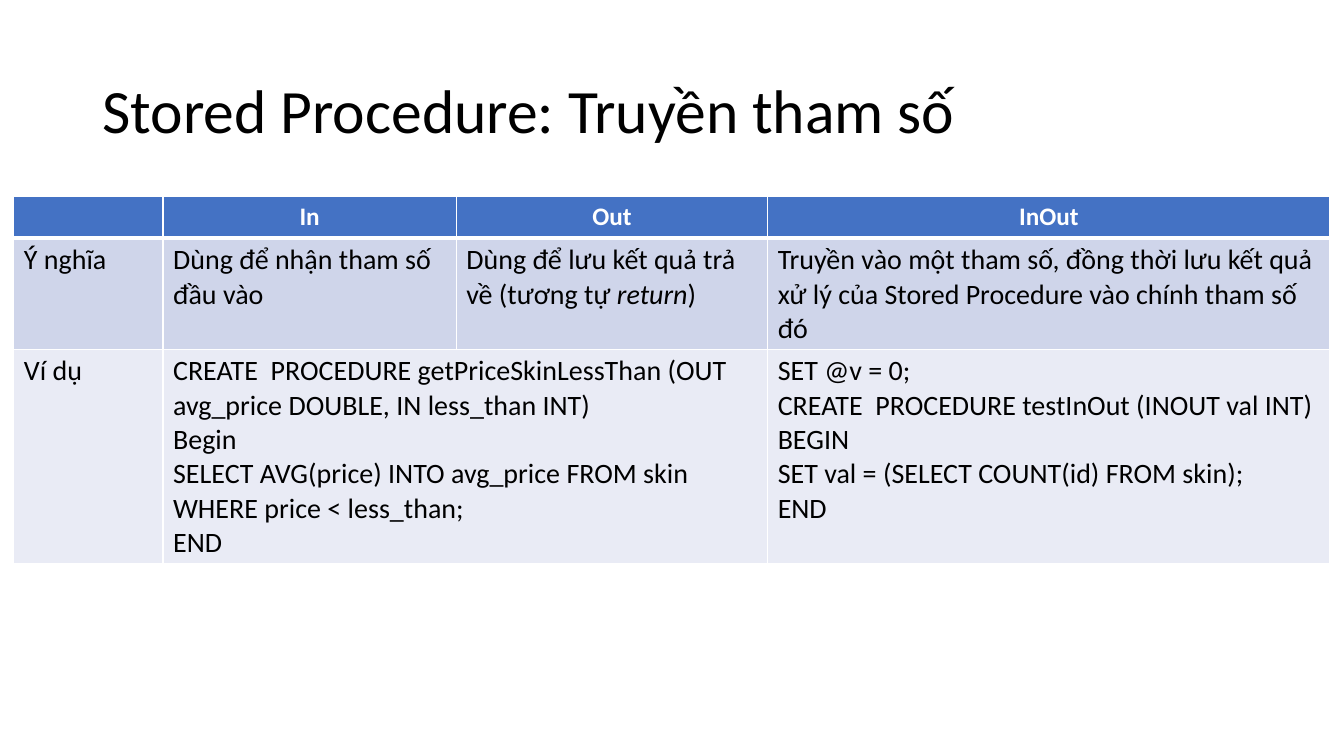
import pptx
import pptx.util
import pptx.dml.color
import pptx.enum.text
import pptx.oxml
import pptx.oxml.ns
from lxml import etree

Cm = pptx.util.Cm
Color = pptx.dml.color.RGBColor
Align = pptx.enum.text.PP_ALIGN
BLACK = Color(0, 0, 0)
WHITE = Color(0xFF, 0xFF, 0xFF)
BLUE = Color(0x44, 0x72, 0xC4)
MID = Color(0xCF, 0xD5, 0xEA)
PALE = Color(0xE9, 0xEB, 0xF5)
FONT = "Calibri"

HEAD = ["", "In", "Out", "InOut"]
SENSE = [
    "Ý nghĩa",
    "Dùng để nhận tham số đầu vào",
    [[("Dùng để lưu kết quả trả về (tương tự ", False), ("return", True), (")", False)]],
    "Truyền vào một tham số, đồng thời lưu kết quả xử lý của Stored Procedure "
    "vào chính tham số đó",
]
CODE = [
    "Ví dụ",
    "CREATE\u00a0 PROCEDURE getPriceSkinLessThan (OUT avg_price DOUBLE, IN less_than\u00a0INT) \n"
    "Begin\n"
    "SELECT\u00a0AVG(price)\u00a0INTO\u00a0avg_price\u00a0FROM skin\u00a0\n"
    "WHERE\u00a0price <\u00a0less_than;\u00a0\n"
    "END",
    "",
    "SET @v = 0;\n"
    "CREATE\u00a0 PROCEDURE testInOut (INOUT val INT)\n"
    "BEGIN\n"
    "SET val = (SELECT COUNT(id) FROM skin);\n"
    "END",
]


def write(frame, text, size, color, bold=False, align=Align.LEFT, space=1.0):
    if isinstance(text, str):
        text = [[(line, False)] for line in text.split("\n")]
    for i, line in enumerate(text):
        para = frame.add_paragraph() if i else frame.paragraphs[0]
        para.alignment = align
        para.line_spacing = space
        for words, slant in line:
            run = para.add_run()
            run.text = words
            font = run.font
            font.name = FONT
            font.size = pptx.util.Pt(size)
            font.color.rgb = color
            font.bold = bold
            font.italic = slant


def edge(cell, widths):
    props = cell._tc.get_or_add_tcPr()
    for i, (side, width) in enumerate(zip("LRTB", widths)):
        line = etree.Element(pptx.oxml.ns.qn("a:ln" + side), w=str(pptx.util.Pt(width)))
        fill = etree.SubElement(line, pptx.oxml.ns.qn("a:solidFill"))
        etree.SubElement(fill, pptx.oxml.ns.qn("a:srgbClr"), val=str(WHITE))
        props.insert(i, line)


def title(slide, box):
    frame = slide.shapes.add_textbox(*box).text_frame
    frame.word_wrap = True
    frame.vertical_anchor = pptx.enum.text.MSO_ANCHOR.MIDDLE
    write(frame, "Stored Procedure: Truyền tham số ", 44, BLACK, space=0.9)


def grid(slide, box):
    left, top, width, height = box
    table = slide.shapes.add_table(3, 4, left, top, width, height).table
    parts = [1.48, 2.91, 3.09, 5.58]
    for col, part in zip(table.columns, parts):
        col.width = int(width * part / sum(parts))
    for row, tall in zip(table.rows, [1.04, 2.8, 5.4]):
        row.height = Cm(tall)
    looks = [
        (HEAD, BLUE, 18, WHITE, True, Align.CENTER, (1, 1, 1, 3)),
        (SENSE, MID, 20, BLACK, False, Align.LEFT, (1, 1, 3, 1)),
        (CODE, PALE, 20, BLACK, False, Align.LEFT, (1, 1, 1, 1)),
    ]
    for r, (texts, fill, size, color, bold, align, lines) in enumerate(looks):
        for c, text in enumerate(texts):
            cell = table.cell(r, c)
            cell.fill.solid()
            cell.fill.fore_color.rgb = fill
            edge(cell, lines)
            if text:
                write(cell.text_frame, text, size, color, bold, align)
    table.cell(2, 1).merge(table.cell(2, 2))


deck = pptx.Presentation()
deck.slide_width = Cm(33.87)
deck.slide_height = Cm(19.05)
slide = deck.slides.add_slide(deck.slide_layouts[6])
title(slide, (Cm(2.33), Cm(1.01), Cm(29.21), Cm(3.68)))
grid(slide, (Cm(0.35), Cm(4.96), Cm(33.17), Cm(9.24)))
deck.save("out.pptx")
